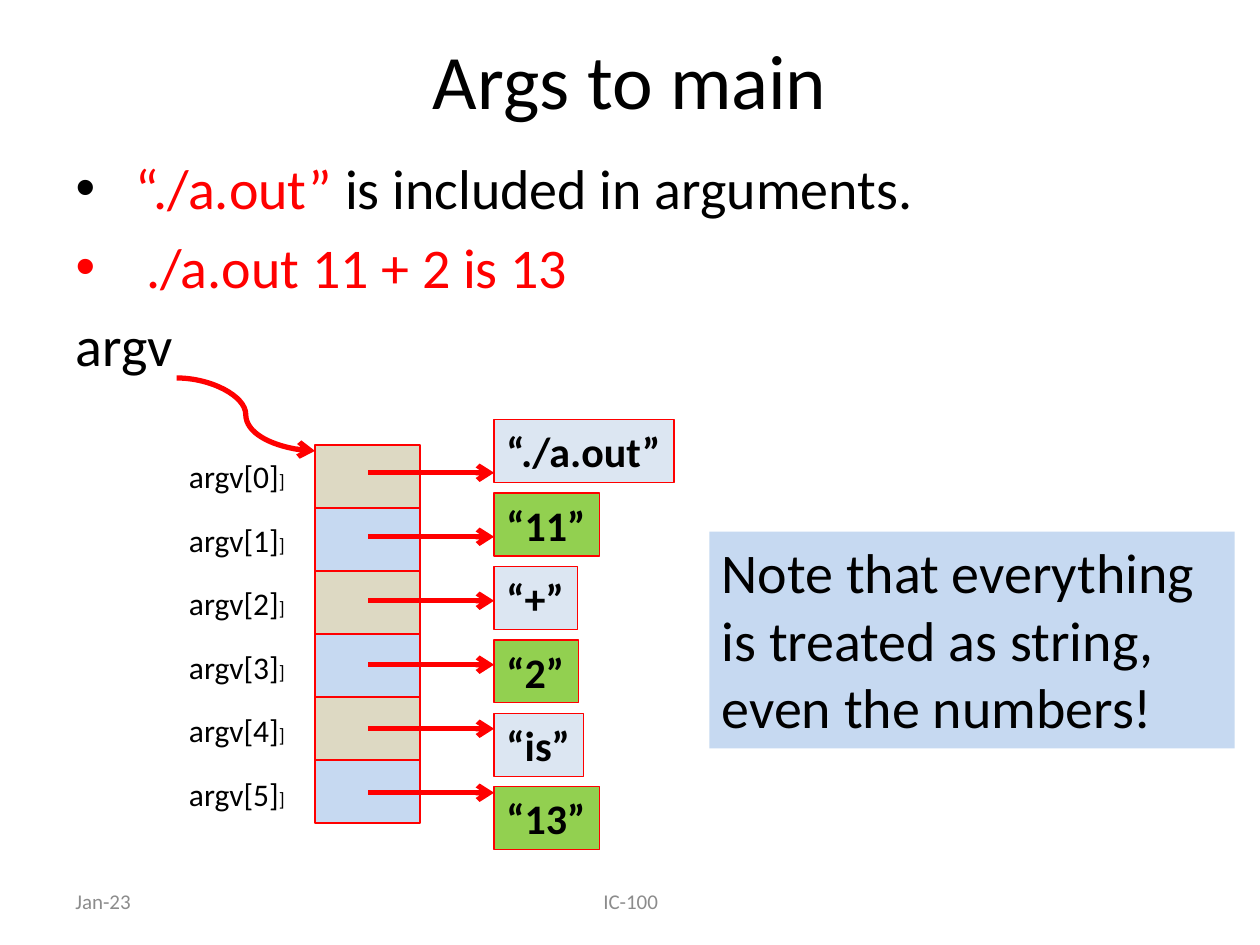
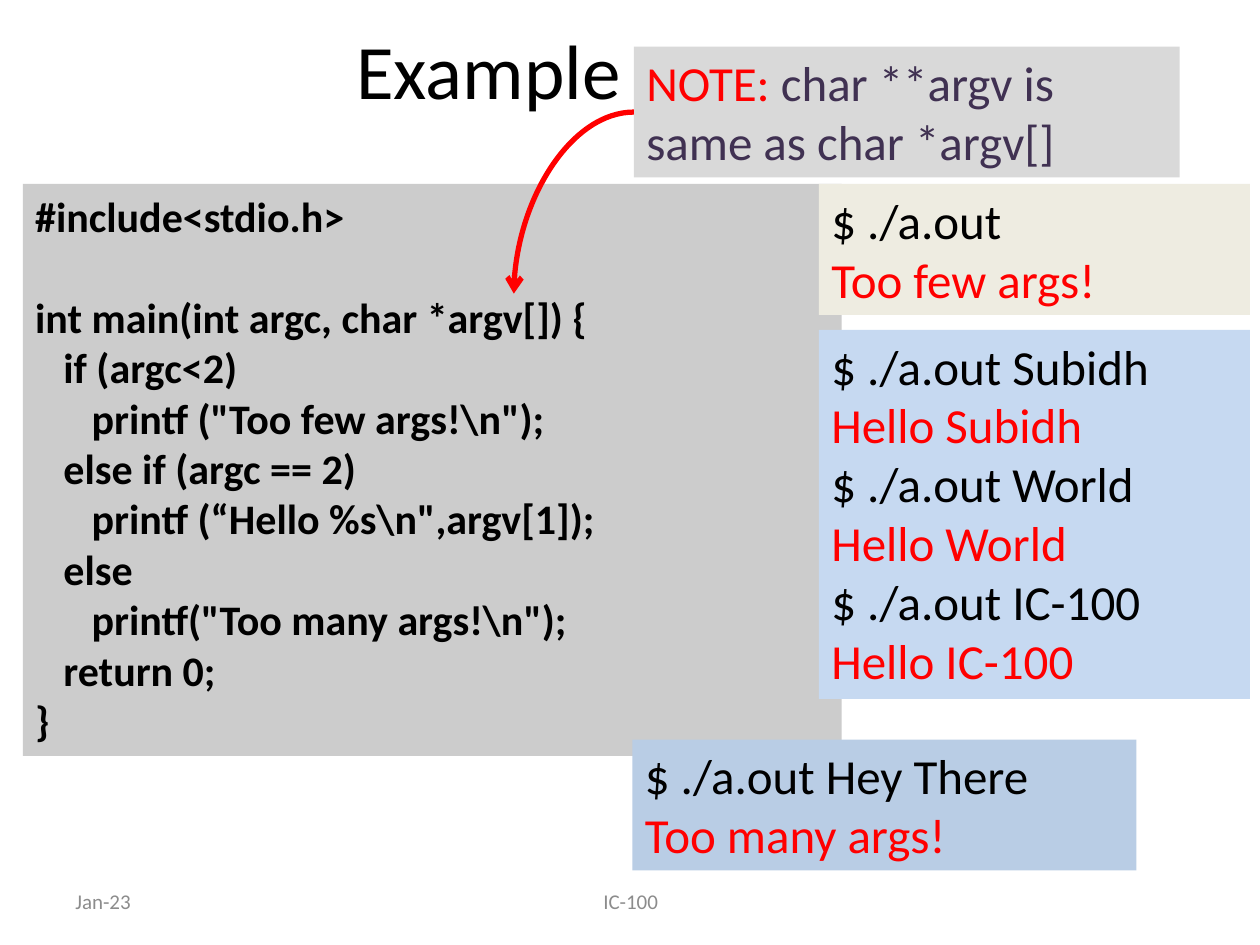
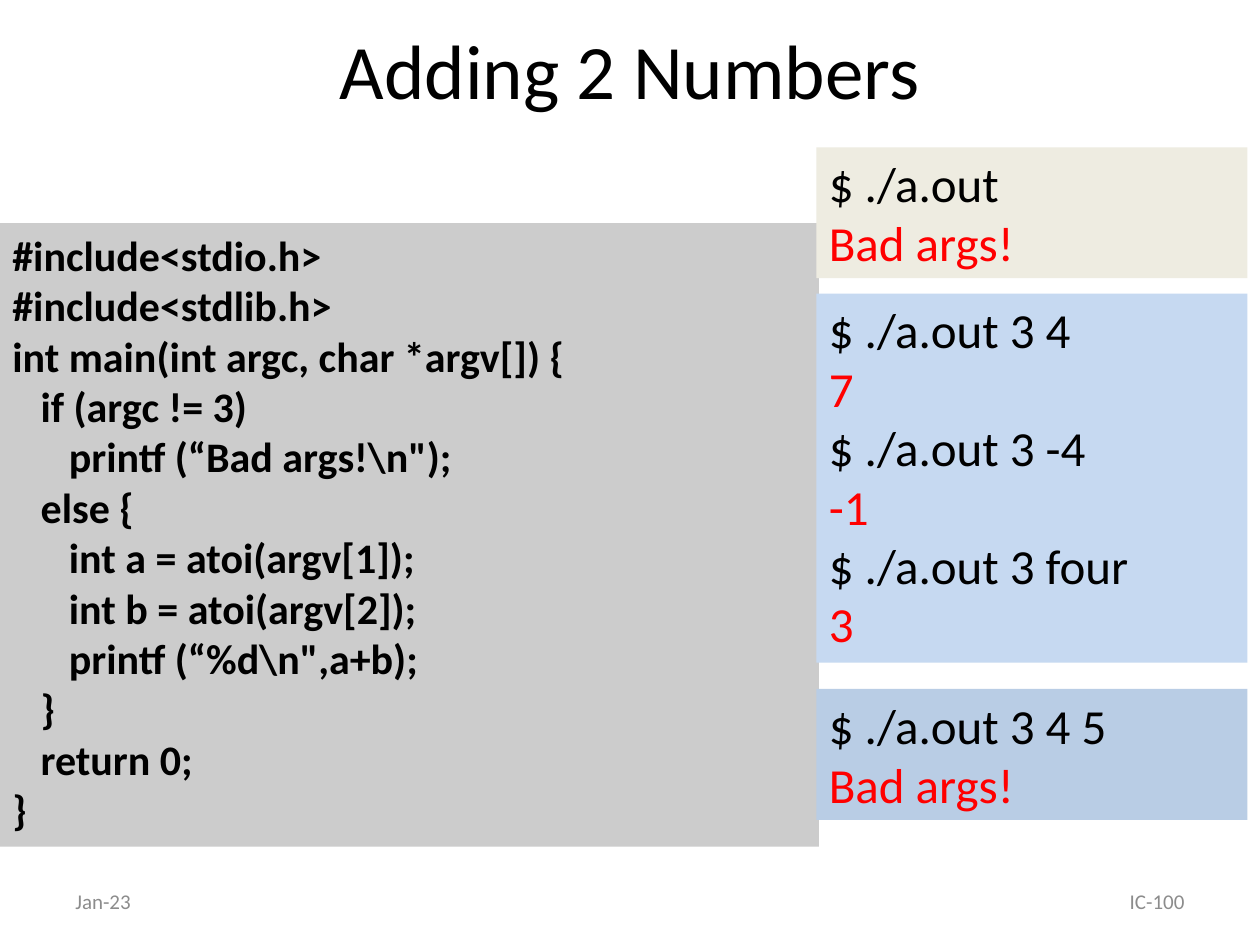
"""Build three slides on command line arguments to main in C."""
import pptx
import pptx.dml.color
import pptx.enum.shapes
import pptx.enum.text
import pptx.oxml
import pptx.oxml.ns
import pptx.util
import lxml.etree

Cm, Pt = pptx.util.Cm, pptx.util.Pt
hue = pptx.dml.color.RGBColor.from_string
Align, Anchor = pptx.enum.text.PP_ALIGN, pptx.enum.text.MSO_ANCHOR
Link = pptx.enum.shapes.MSO_CONNECTOR
qn = pptx.oxml.ns.qn

BLACK, RED, GREY, PLUM = "000000", "FF0000", "8C8C8C", "403152"
SAND, SKY, PALE, GREEN = "DDD9C3", "C6D9F1", "DCE6F2", "92D050"
IVORY, STEEL, STONE, ASH = "EEECE1", "B9CDE5", "CCCCCC", "D9D9D9"

LOOKS = {
    "title": {"size": Pt(44), "bold": False},
    "list": {"size": Pt(32), "bold": False},
    "shell": {"size": Pt(28), "bold": False},
    "code": {"size": Pt(24), "bold": True},
    "label": {"size": Pt(18), "bold": False},
    "foot": {"size": Pt(12), "bold": False},
}


def write(shape, lines, look, align=Align.LEFT, anchor=Anchor.TOP, wrap=True):
    """Fill a shape with lines, each a list of (text, colour) runs."""
    frame = shape.text_frame
    form = {"word_wrap": wrap, "vertical_anchor": anchor,
            "auto_size": pptx.enum.text.MSO_AUTO_SIZE.NONE}
    for name, value in form.items():
        setattr(frame, name, value)
    for rank, line in enumerate(lines):
        par = frame.add_paragraph() if rank else frame.paragraphs[0]
        par.alignment = align
        for text, tone in line:
            run = par.add_run()
            run.text = text
            for name, value in {"name": "Calibri", **LOOKS[look]}.items():
                setattr(run.font, name, value)
            run.font.color.rgb = hue(tone)
    return frame.paragraphs


def box(slide, at, fill, edge=None, width=0.75):
    """Add a rectangle at left, top, width, height in centimetres."""
    shape = slide.shapes.add_shape(
        pptx.enum.shapes.MSO_SHAPE.RECTANGLE, *map(Cm, at))
    shape.shadow.inherit = False
    shape.fill.solid()
    shape.fill.fore_color.rgb = hue(fill)
    if edge:
        shape.line.color.rgb = hue(edge)
        shape.line.width = Pt(width)
    else:
        shape.line.fill.background()
    return shape


deck = pptx.Presentation()
deck.slide_width, deck.slide_height = Cm(25.4), Cm(19.05)

heads = [
    ("Args to main", 1, (1.27, 0, 22.86, 3.18), (8.69, 8.05), Align.CENTER),
    ("Example", 5, (3.4, -0.2, 12.9, 3.18), (8.69, 8.05), Align.CENTER),
    ("Adding 2 Numbers", 5, (1.27, -0.2, 22.86, 3.18), (18.21, 5.92), Align.RIGHT),
]
slides = []
for text, kind, at, (left, wide), side in heads:
    slide = deck.slides.add_slide(deck.slide_layouts[kind])
    slides.append(slide)
    title = slide.shapes.title
    title.left, title.top, title.width, title.height = map(Cm, at)
    write(title, [[(text, BLACK)]], "title", Align.CENTER, Anchor.MIDDLE)
    for note, x, w, align in [("Jan-23", 1.27, 5.92, Align.LEFT),
                              ("IC-100", left, wide, side)]:
        foot = slide.shapes.add_textbox(Cm(x), Cm(17.65), Cm(w), Cm(1.02))
        write(foot, [[(note, GREY)]], "foot", align, Anchor.MIDDLE)
intro, hello, total = slides

body = intro.placeholders[1]
body.left, body.top, body.width, body.height = map(Cm, (1.27, 2.97, 22.86, 14.05))
pars = write(body, [
    [("“./a.out”", RED), (" is included in arguments.", BLACK)],
    [("./a.out 11 + 2 is 13", RED)],
    [("argv", BLACK)],
], "list")
for par, inset, tone in zip(pars, (1.2, 1.42, 0), (BLACK, RED, None)):
    props = par._p.get_or_add_pPr()
    props.set("marL", str(Cm(inset)))
    props.set("indent", str(-Cm(inset)))
    if tone:
        mark = lxml.etree.SubElement(props, qn("a:buClr"))
        lxml.etree.SubElement(mark, qn("a:srgbClr")).set("val", tone)
    else:
        lxml.etree.SubElement(props, qn("a:buNone"))

wires = [(intro, Link.CURVE, "curvedConnector3", (3.56, 7.62, 6.35, 9.09))]
args = [("./a.out", 3.63), ("11", 2.13), ("+", 1.68),
        ("2", 1.7), ("is", 1.8), ("13", 2.13)]
for rank, (text, wide) in enumerate(args):
    odd = rank % 2
    box(intro, (6.35, 8.97 + 1.27 * rank, 2.12, 1.27), (SAND, SKY)[odd], RED, 1.5)
    label = intro.shapes.add_textbox(
        Cm(3.56), Cm(9.09 + 1.28 * rank), Cm(2.49), Cm(1.02))
    pars = write(label, [[(f"argv[{rank}]", BLACK), ("]", BLACK)]],
                 "label", wrap=False)
    pars[0].runs[1].font.size = Pt(11)
    value = box(intro, (9.96, 8.46 + 1.48 * rank, wide, 1.27),
                (PALE, GREEN)[odd], RED)
    write(value, [[(f"“{text}”", BLACK)]], "code", wrap=False)
    y = 9.53 + 1.29 * rank
    wires.append((intro, Link.STRAIGHT, "line", (7.42, y, 9.96, y)))

note = box(intro, (14.3, 10.72, 10.59, 4.37), SKY)
write(note, [[("Note that everything is treated as string, even the numbers!",
               BLACK)]], "list")

codes = [
    (hello, (0.46, 3.71, 16.51, 11.53), 29, [
        (0, "#include<stdio.h>"),
        (0, "int main(int argc, char *argv[]) {"),
        (1, "if (argc<2)"),
        (2, "printf (\"Too few args!\\n\");"),
        (1, "else if (argc == 2)"),
        (2, "printf (“Hello %s\\n\",argv[1]);"),
        (1, "else"),
        (2, "printf(\"Too many args!\\n\");"),
        (1, "return 0;"),
        (0, "}"),
    ]),
    (total, (0, 4.5, 16.51, 12.57), 0, [
        (0, "#include<stdio.h>"),
        (0, "#include<stdlib.h>"),
        (0, "int main(int argc, char *argv[]) {"),
        (1, "if (argc != 3)"),
        (2, "printf (“Bad args!\\n\");"),
        (1, "else {"),
        (2, "int a = atoi(argv[1]);"),
        (2, "int b = atoi(argv[2]);"),
        (2, "printf (“%d\\n\",a+b);"),
        (1, "}"),
        (1, "return 0;"),
        (0, "}"),
    ]),
]
for slide, at, gap, rows in codes:
    pars = write(box(slide, at, STONE),
                 [[(text, BLACK)] for depth, text in rows], "code")
    pars[1].space_before = Pt(gap)
    for par, (depth, text) in zip(pars, rows):
        par._p.get_or_add_pPr().set("marL", str(Cm(0.57 * depth)))

shells = [
    (hello, (16.51, 6.65, 10.92 - 2.23, 7.44), SKY, [
        "$ ./a.out Subidh", "Hello Subidh", "$ ./a.out World",
        "Hello World", "$ ./a.out IC-100", "Hello IC-100"]),
    (hello, (16.51, 3.71, 8.69, 2.64), IVORY, ["$ ./a.out", "Too few args!"]),
    (hello, (12.75, 14.91, 10.16, 2.64), STEEL,
     ["$ ./a.out Hey There", "Too many args!"]),
    (total, (16.46, 5.92, 8.69, 7.44), SKY, [
        "$ ./a.out 3 4", "7", "$ ./a.out 3 -4", "-1", "$ ./a.out 3 four", "3"]),
    (total, (16.46, 2.97, 8.69, 2.64), IVORY, ["$ ./a.out", "Bad args!"]),
    (total, (16.46, 13.89, 8.69, 2.64), STEEL, ["$ ./a.out 3 4 5", "Bad args!"]),
]
for slide, at, fill, rows in shells:
    write(box(slide, at, fill),
          [[(text, (BLACK, RED)[rank % 2])] for rank, text in enumerate(rows)],
          "shell")

note = box(hello, (12.78, 0.94, 11, 2.64), ASH)
write(note, [[("NOTE: ", RED), ("char **argv is same as char *argv[]", PLUM)]],
      "shell")
wires.append((hello, Link.CURVE, "curvedConnector2", (12.78, 2.26, 10.36, 5.92)))

for slide, kind, form, ends in wires:
    wire = slide.shapes.add_connector(kind, *map(Cm, ends))
    wire.line.color.rgb = hue(RED)
    wire.line.width = Pt(3)
    props = wire._element.spPr
    props.find(qn("a:prstGeom")).set("prst", form)
    tip = lxml.etree.SubElement(props.find(qn("a:ln")), qn("a:tailEnd"))
    tip.set("type", "arrow")
    lxml.etree.SubElement(props, qn("a:effectLst"))

deck.save("out.pptx")
